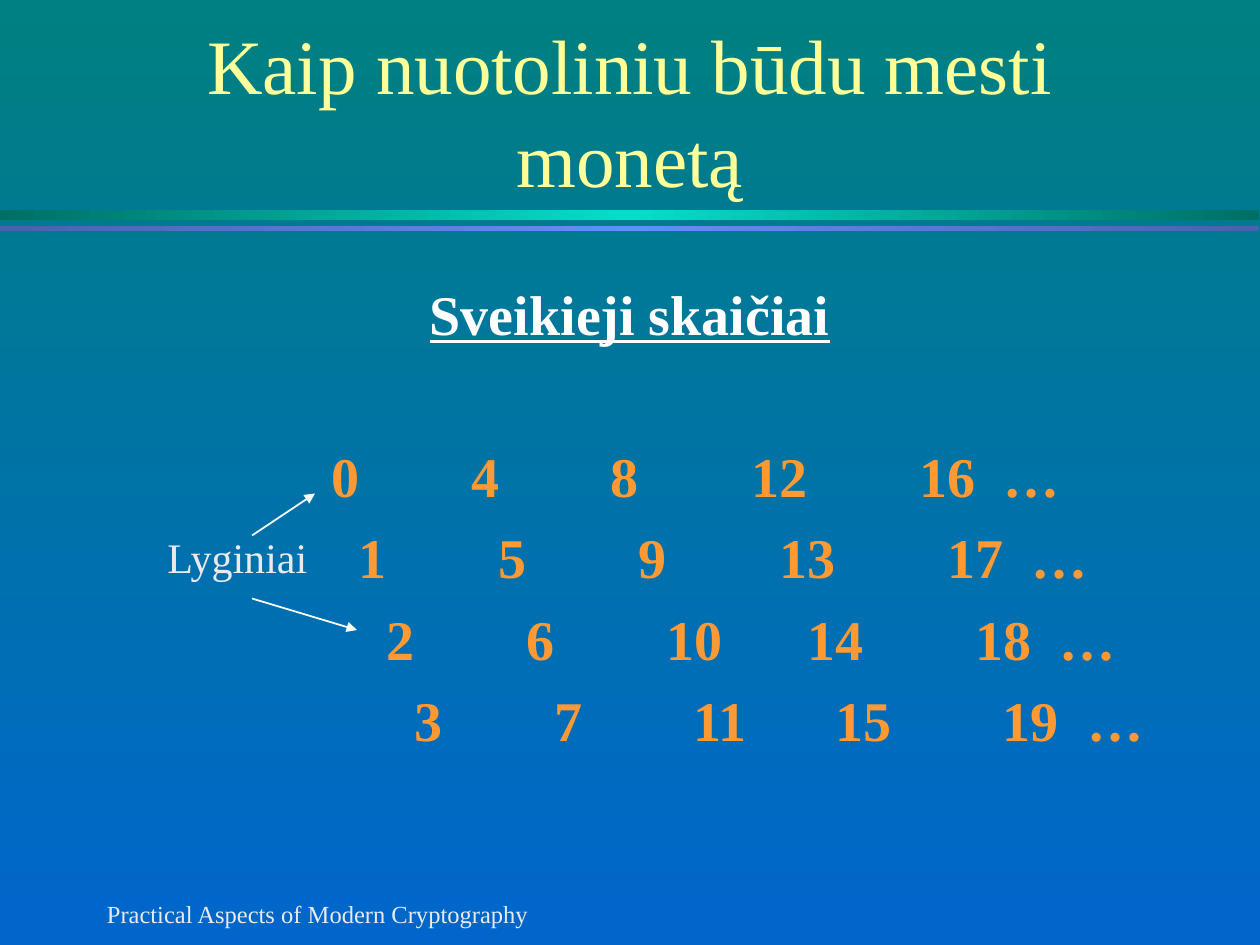
from copy import deepcopy

from lxml import etree
from pptx import Presentation
from pptx import util as u
from pptx.dml.color import RGBColor
from pptx.enum import shapes, text
from pptx.oxml.ns import qn

TEAL = RGBColor(0x00, 0x80, 0x80)
BLUE = RGBColor(0x00, 0x66, 0xCC)
DARK_GREEN = RGBColor(0x00, 0x6F, 0x65)
AQUA = RGBColor(0x00, 0xDF, 0xCA)
INDIGO = RGBColor(0x44, 0x64, 0xB1)
SKY = RGBColor(0x61, 0x8F, 0xFD)
YELLOW = RGBColor(0xFF, 0xFF, 0x99)
ORANGE = RGBColor(0xFF, 0x99, 0x33)
WHITE = RGBColor(0xFF, 0xFF, 0xFF)
PALE = RGBColor(0xEA, 0xEA, 0xEA)

FONT = "Times New Roman"
CELL = u.Inches(1) // 12  # the slide is a grid of 120 columns by 90 rows


def cells(*counts):
    return [u.Emu(round(count * CELL)) for count in counts]


class Deck:
    def __init__(self):
        self.file = Presentation()
        self.file.slide_width, self.file.slide_height = cells(120, 90)
        self.slide = self.file.slides.add_slide(self.file.slide_layouts[5])

    def gradient(self, fill, element, colours, angle):
        fill.gradient()
        fill.gradient_angle = angle
        stops = next(element.iter(qn("a:gsLst")))
        while len(stops) < len(colours):
            stops.append(deepcopy(stops[-1]))
        for i, (stop, colour) in enumerate(zip(fill.gradient_stops, colours)):
            stop.color.rgb = colour
            stop.position = i / (len(colours) - 1)

    def background(self, *colours):
        self.gradient(self.slide.background.fill, self.slide.element, colours, 270)

    def bar(self, box, *colours):
        bar = self.slide.shapes.add_shape(shapes.MSO_SHAPE.RECTANGLE, *cells(*box))
        bar.shadow.inherit = False
        bar.line.fill.background()
        self.gradient(bar.fill, bar.element, colours, 0)

    def add_words(self, paragraph, words, size, colour, align=text.PP_ALIGN.LEFT, **style):
        paragraph.alignment = align
        run = paragraph.add_run()
        run.text = words
        run.font.color.rgb = colour
        look = {"name": FONT, "size": u.Pt(size), **style}
        for attribute, value in look.items():
            setattr(run.font, attribute, value)

    def title(self, box, words, size, colour):
        title = self.slide.shapes.title
        title.left, title.top, title.width, title.height = cells(*box)
        frame = title.text_frame
        frame.auto_size = text.MSO_AUTO_SIZE.NONE
        frame.vertical_anchor = text.MSO_ANCHOR.MIDDLE
        self.add_words(frame.paragraphs[0], words, size, colour, text.PP_ALIGN.CENTER)

    def text_box(self, box, wrap=True):
        frame = self.slide.shapes.add_textbox(*cells(*box)).text_frame
        frame.word_wrap = wrap
        return frame

    def tab_stops(self, paragraph, inches):
        tabs = etree.SubElement(paragraph._p.get_or_add_pPr(), qn("a:tabLst"))
        for stop in inches:
            etree.SubElement(tabs, qn("a:tab"), pos=str(u.Inches(stop)), algn="l")

    def arrow(self, start, end, colour):
        arrow = self.slide.shapes.add_connector(
            shapes.MSO_CONNECTOR.STRAIGHT, *cells(*start, *end))
        arrow.line.color.rgb = colour
        arrow.line.width = u.Pt(1)
        outline = next(arrow.element.iter(qn("a:ln")))
        etree.SubElement(outline, qn("a:tailEnd"), type="triangle")
        etree.SubElement(arrow.element.spPr, qn("a:effectLst"))


def main():
    deck = Deck()

    # Background and double rule under the title
    deck.background(TEAL, BLUE)
    deck.bar((0, 20, 119.9, 1), DARK_GREEN, AQUA, DARK_GREEN)
    deck.bar((0, 21.5, 119.9, 0.5), INDIGO, SKY, INDIGO)

    # Footer and title
    footer = deck.text_box((9, 85, 45, 3))
    deck.add_words(footer.paragraphs[0], "Practical Aspects of Modern Cryptography", 14, PALE)
    deck.title((9, 3, 102, 15), "Kaip nuotoliniu būdu mesti monetą", 44, YELLOW)

    # Integers in four slanted rows, one for each remainder modulo 4
    integers = deck.text_box((9, 26, 102, 54))
    deck.add_words(integers.paragraphs[0], "Sveikieji skaičiai", 32, WHITE,
                   text.PP_ALIGN.CENTER, bold=True, underline=True)
    column_offsets = (0, 1.11, 2.22, 3.34, 4.67, 5.34)
    for remainder in range(4):
        row = integers.add_paragraph()
        row_start = 1.78 + 0.22 * remainder
        deck.tab_stops(row, [row_start + offset for offset in column_offsets])
        row.space_before = u.Pt(8 if remainder else 54.5)
        entries = [str(number) for number in range(remainder, 20, 4)] + ["…"]
        deck.add_words(row, "\t" + "\t".join(entries), 32, ORANGE, bold=True)

    # Label pointing at the even rows
    evens = deck.text_box((14.75, 50, 16, 6), wrap=False)
    deck.add_words(evens.paragraphs[0], "Lyginiai", 24, PALE)
    deck.arrow((24, 57), (34, 60), WHITE)
    deck.arrow((24, 51), (30, 47), WHITE)

    deck.file.save("out.pptx")


if __name__ == "__main__":
    main()
